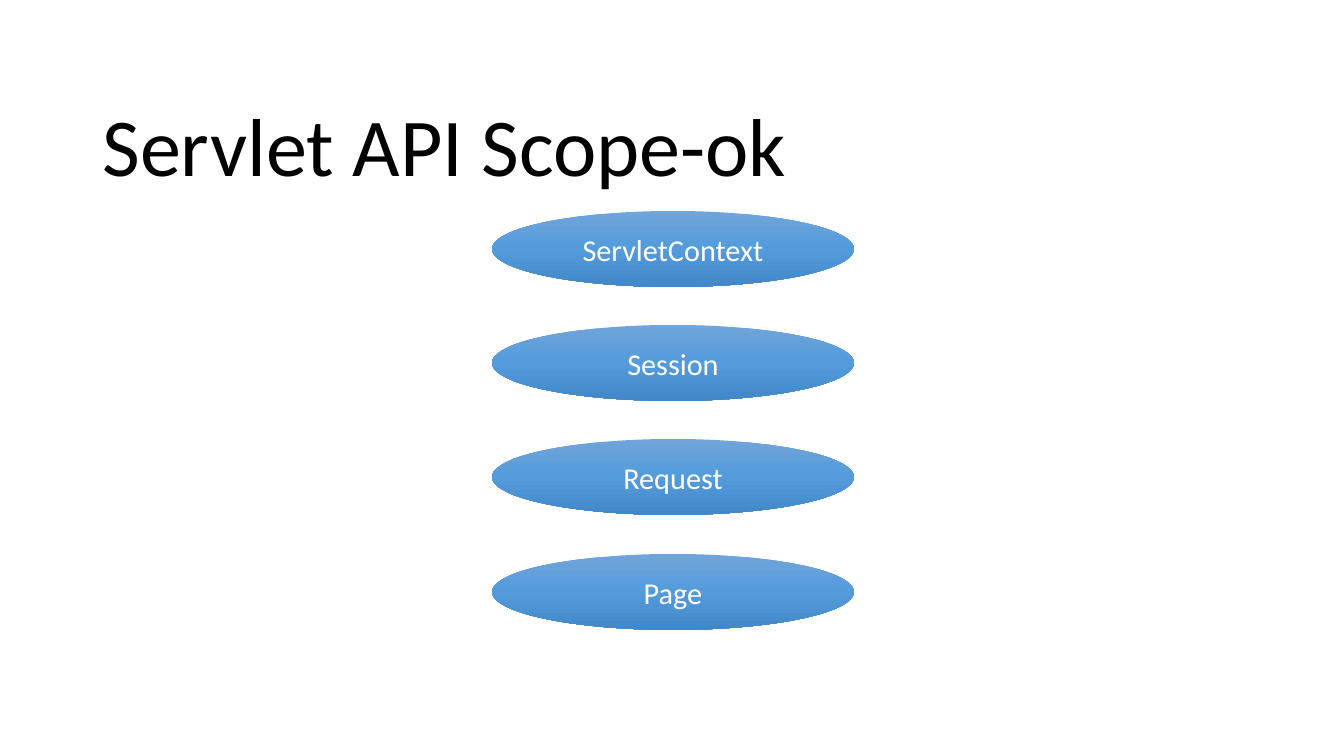
import copy

import pptx
import pptx.dml.color
import pptx.enum.shapes
import pptx.enum.text
import pptx.oxml.ns
import pptx.util

RGBColor = pptx.dml.color.RGBColor
BLACK = RGBColor(0x00, 0x00, 0x00)
WHITE = RGBColor(0xFF, 0xFF, 0xFF)
LIGHT_BLUE = RGBColor(0x70, 0xA5, 0xDA)
MID_BLUE = RGBColor(0x53, 0x9B, 0xDB)
DEEP_BLUE = RGBColor(0x42, 0x88, 0xC8)


class Deck:
    """Hold the style and the current slide, and draw its elements."""

    font = "Calibri"
    scale = 914400 / 134.4

    def __init__(self, width, height):
        self.prs = pptx.Presentation()
        self.prs.slide_width = self.px(width)
        self.prs.slide_height = self.px(height)
        self.s = self.prs.slides.add_slide(self.prs.slide_layouts[5])

    def px(self, n):
        return pptx.util.Emu(round(n * self.scale))

    def set_text(self, sp, text, size, color, align):
        tf = sp.text_frame
        tf.word_wrap = True
        tf.auto_size = pptx.enum.text.MSO_AUTO_SIZE.NONE
        tf.vertical_anchor = pptx.enum.text.MSO_ANCHOR.MIDDLE
        p = tf.paragraphs[0]
        p.text = text
        p.alignment = align
        p.font.name = self.font
        p.font.size = pptx.util.Pt(size)
        p.font.color.rgb = color
        return p

    def title(self, text, x, y, w, h):
        sp = self.s.shapes.title
        sp.left, sp.top, sp.width, sp.height = map(self.px, (x, y, w, h))
        p = self.set_text(sp, text, 44, BLACK, pptx.enum.text.PP_ALIGN.LEFT)
        p.line_spacing = 0.9

    def ellipse(self, text, x, y, w, h):
        sp = self.s.shapes.add_shape(
            pptx.enum.shapes.MSO_SHAPE.OVAL, *map(self.px, (x, y, w, h)))
        sp.shadow.inherit = False
        sp.line.fill.background()
        self.gradient(sp, (LIGHT_BLUE, MID_BLUE, DEEP_BLUE))
        self.set_text(sp, text, 16.2, WHITE, pptx.enum.text.PP_ALIGN.CENTER)

    def gradient(self, sp, colors):
        sp.fill.gradient()
        sp.fill.gradient_angle = 270
        stops = next(sp._element.iter(pptx.oxml.ns.qn("a:gsLst")))
        stops.insert(1, copy.deepcopy(stops[0]))
        for i, (stop, color) in enumerate(zip(sp.fill.gradient_stops, colors)):
            stop.position = i / (len(colors) - 1)
            stop.color.rgb = color


deck = Deck(1344, 756)
deck.title("Servlet API Scope-ok", 89, 77, 1158, 146)

scopes = ("ServletContext", "Session", "Request", "Page")
first_top, last_top = 211, 554
for i, scope in enumerate(scopes):
    top = first_top + i * (last_top - first_top) // (len(scopes) - 1)
    deck.ellipse(scope, 492, top, 362, 76)

deck.prs.save("out.pptx")
